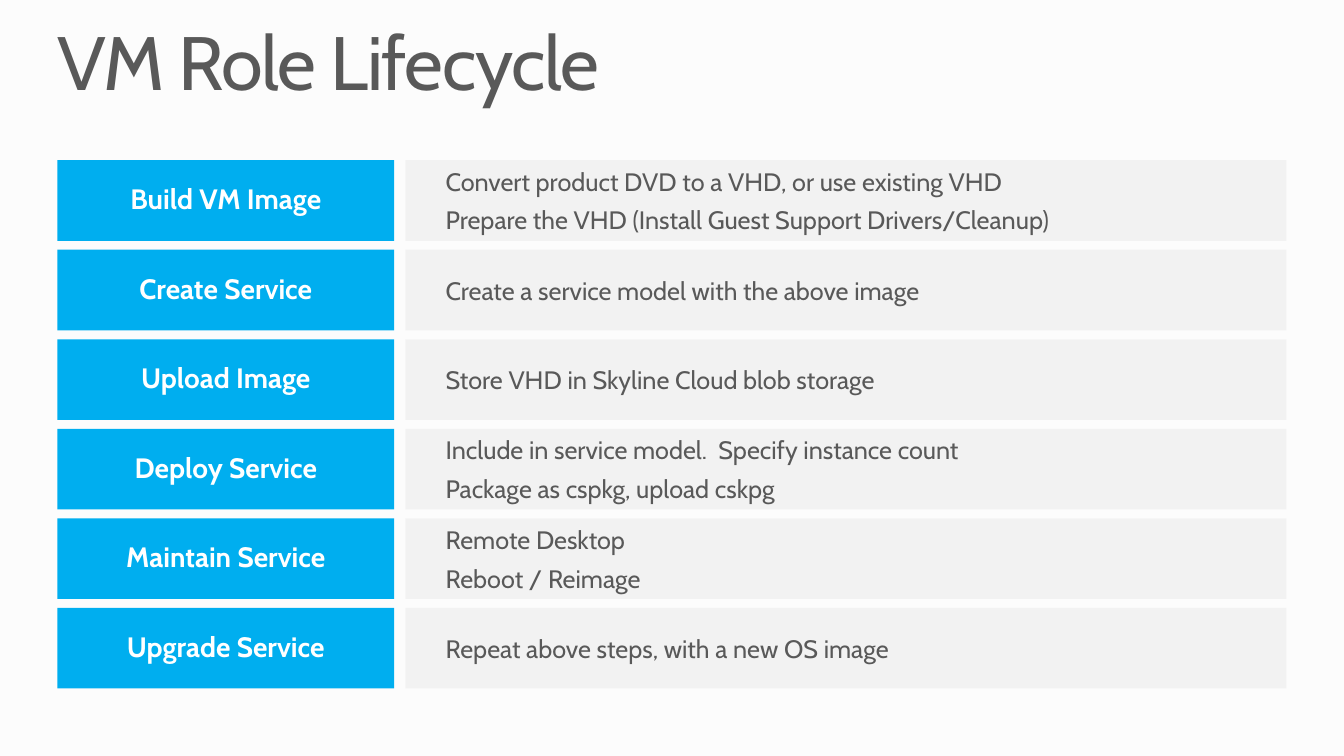
import pptx
import pptx.util
import pptx.dml.color
import pptx.enum.shapes
import pptx.enum.text
import pptx.oxml.ns
from lxml import etree
from pptx.util import Inches, Pt

FONT = "Cabin"
COLORS = {
    "back": "FCFCFC",
    "text": "595959",
    "step": "00AEEF",
    "panel": "F2F2F2",
    "white": "FFFFFF",
}
STEPS = [
    ("Build VM Image", ["Convert product DVD to a VHD, or use existing VHD",
                        "Prepare the VHD (Install Guest Support Drivers/Cleanup)"]),
    ("Create Service", ["Create a service model with the above image"]),
    ("Upload Image", ["Store VHD in Skyline Cloud blob storage"]),
    ("Deploy Service", ["Include in service model.  Specify instance count",
                        "Package as cspkg, upload cskpg"]),
    ("Maintain Service", ["Remote Desktop", "Reboot / Reimage"]),
    ("Upgrade Service", ["Repeat above steps, with a new OS image"]),
]
LEFT, TOP, PITCH, HEIGHT = 0.57, 1.59, 0.888, 0.8
ALIGN = pptx.enum.text.PP_ALIGN
ANCHOR = pptx.enum.text.MSO_ANCHOR


def paint(fill, name):
    fill.solid()
    fill.fore_color.rgb = pptx.dml.color.RGBColor.from_string(COLORS[name])


def style(font, size, color, bold=False):
    font.name = FONT
    font.size = Pt(size)
    font.bold = bold
    font.color.rgb = pptx.dml.color.RGBColor.from_string(COLORS[color])


def inset(frame, left, top, right, bottom):
    frame.margin_left, frame.margin_top = Inches(left), Inches(top)
    frame.margin_right, frame.margin_bottom = Inches(right), Inches(bottom)


def fade(shape, percent):
    """Set the opacity of a solid fill."""
    color = shape.fill._xPr.find(".//" + pptx.oxml.ns.qn("a:srgbClr"))
    alpha = etree.SubElement(color, pptx.oxml.ns.qn("a:alpha"))
    alpha.set("val", str(percent * 1000))


def add_title(slide, text):
    title = slide.shapes.title
    title.left, title.top = Inches(LEFT), Inches(0.25)
    title.width, title.height = Inches(12.19), Inches(0.82)
    frame = title.text_frame
    frame.text = text
    frame.word_wrap = True
    frame.auto_size = pptx.enum.text.MSO_AUTO_SIZE.SHAPE_TO_FIT_TEXT
    frame.vertical_anchor = ANCHOR.TOP
    inset(frame, 0, 0, 0, 0)
    para = frame.paragraphs[0]
    para.alignment = ALIGN.LEFT
    para.line_spacing = 0.9
    style(para.font, 54, "text")
    para.runs[0]._r.get_or_add_rPr().set("spc", "-100")


def add_box(slide, left, top, width, color):
    box = slide.shapes.add_shape(
        pptx.enum.shapes.MSO_SHAPE.RECTANGLE,
        Inches(left), Inches(top), Inches(width), Inches(HEIGHT))
    box.shadow.inherit = False
    paint(box.fill, color)
    box.line.fill.background()
    box.text_frame.word_wrap = True
    box.text_frame.vertical_anchor = ANCHOR.MIDDLE
    return box


def add_panel(slide, top, lines):
    box = add_box(slide, 4.02, top, 8.74, "panel")
    fade(box, 90)
    frame = box.text_frame
    inset(frame, 0.4, 0.05, 0.1, 0.05)
    frame.text = "\n".join(lines)
    for index, para in enumerate(frame.paragraphs):
        para.alignment = ALIGN.LEFT
        if index:
            para.space_before = Pt(6)
        style(para.font, 18, "text")


def add_step(slide, top, name):
    frame = add_box(slide, LEFT, top, 3.34, "step").text_frame
    inset(frame, 0.16, 0.1, 0.16, 0.1)
    frame.text = name
    para = frame.paragraphs[0]
    para.alignment = ALIGN.CENTER
    para.line_spacing = 0.9
    style(para.font, 20, "white", bold=True)


def main():
    deck = pptx.Presentation()
    deck.slide_width, deck.slide_height = Inches(13.33), Inches(7.5)
    slide = deck.slides.add_slide(deck.slide_layouts[5])
    paint(slide.background.fill, "back")
    add_title(slide, "VM Role Lifecycle")
    for row, (name, lines) in enumerate(STEPS):
        top = TOP + row * PITCH
        add_panel(slide, top, lines)
        add_step(slide, top, name)
    deck.save("out.pptx")


if __name__ == "__main__":
    main()
